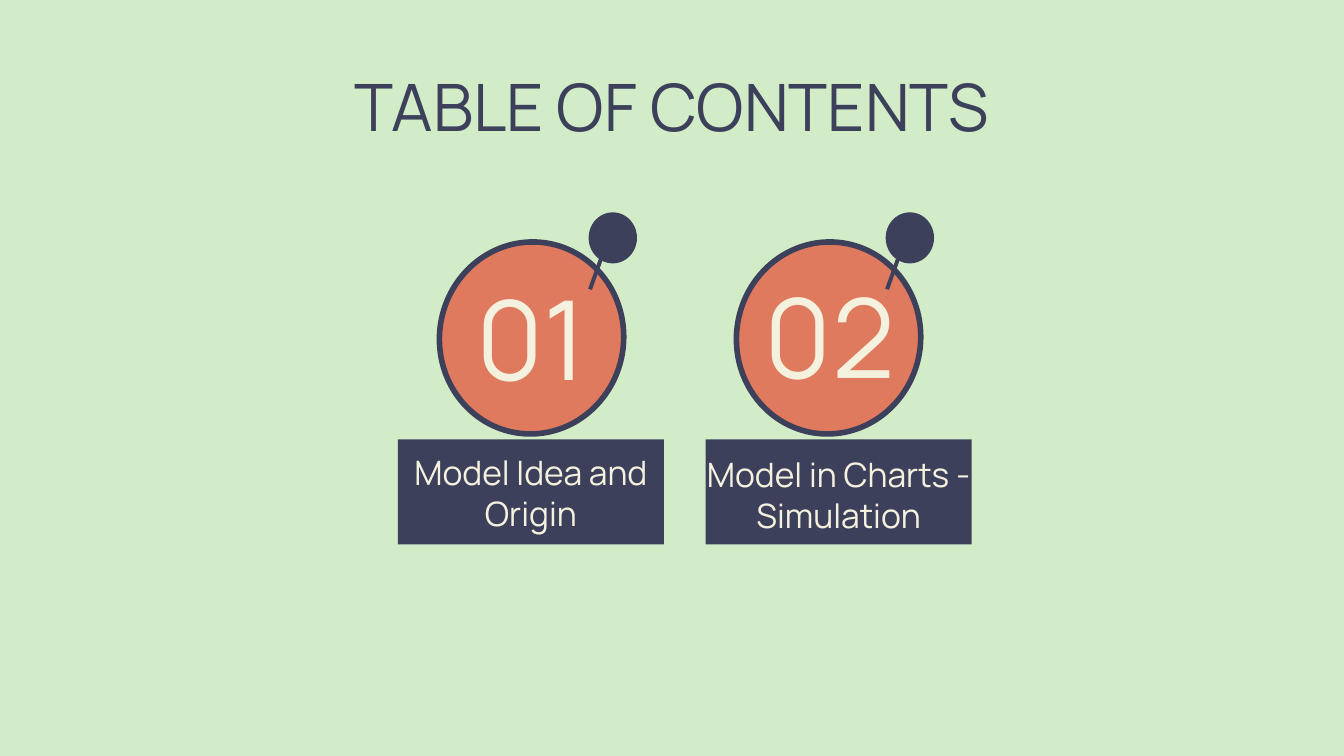
"""Build a table of contents slide with two numbered, pinned sections."""
from pptx import Presentation
from pptx.dml.color import RGBColor
from pptx.enum.shapes import MSO_SHAPE
from pptx.enum.text import MSO_ANCHOR, MSO_AUTO_SIZE, PP_ALIGN
from pptx.util import Inches, Pt

OVAL, RECTANGLE, ROUNDED = MSO_SHAPE.OVAL, MSO_SHAPE.RECTANGLE, MSO_SHAPE.ROUNDED_RECTANGLE
TOP, MIDDLE = MSO_ANCHOR.TOP, MSO_ANCHOR.MIDDLE
CENTER, FIXED_SIZE = PP_ALIGN.CENTER, MSO_AUTO_SIZE.NONE

GREEN = RGBColor(0xD2, 0xEC, 0xC8)
NAVY = RGBColor(0x3D, 0x40, 0x5B)
CORAL = RGBColor(0xE0, 0x7A, 0x5F)
CREAM = RGBColor(0xF4, 0xF1, 0xDE)
FONT = "Manrope"

TITLE = "TABLE OF CONTENTS"
SECTIONS = [
    {"number": "01", "caption": "Model Idea and Origin", "circle_left": 3.27,
     "number_place": (3.11, 1.72, 1.69, 1.56),
     "label_left": 2.96, "caption_top": 3.35, "caption_height": 0.63},
    {"number": "02", "caption": "Model in Charts - Simulation", "circle_left": 5.48,
     "number_place": (5.33, 1.71, 1.69, 1.56),
     "label_left": 5.25, "caption_top": 3.38, "caption_height": 0.6},
]


def write(box, text, size, color, anchor=MIDDLE):
    frame = box.text_frame
    frame.text = text
    frame.word_wrap = True
    frame.auto_size = FIXED_SIZE
    frame.vertical_anchor = anchor
    frame.margin_left = frame.margin_right = frame.margin_top = frame.margin_bottom = 0
    para = frame.paragraphs[0]
    para.alignment = CENTER
    para.line_spacing = 1.0
    font = para.runs[0].font
    font.name, font.size, font.color.rgb = FONT, Pt(size), color


def add_text(slide, place, text, size):
    box = slide.shapes.add_textbox(*map(Inches, place))
    write(box, text, size, CREAM)


def add_figure(shapes, kind, place, fill, rotation=0):
    figure = shapes.add_shape(kind, *map(Inches, place))
    figure.shadow.inherit = False
    figure.fill.solid()
    figure.fill.fore_color.rgb = fill
    figure.line.fill.background()
    figure.rotation = rotation
    return figure


def add_section(slide, section):
    left, label_left = section["circle_left"], section["label_left"]
    circle = add_figure(slide.shapes, OVAL, (left, 1.8, 1.37, 1.43), CORAL, 8.7)
    circle.line.color.rgb = NAVY
    circle.line.width = Pt(3)
    add_text(slide, section["number_place"], section["number"], 59)

    pin = slide.shapes.add_group_shape()
    add_figure(pin.shapes, RECTANGLE, (left + 1.2, 1.61, 0.03, 0.56), NAVY, 19.8)
    add_figure(pin.shapes, OVAL, (left + 1.11, 1.58, 0.36, 0.38), NAVY)

    label = add_figure(slide.shapes, ROUNDED, (label_left, 3.27, 1.98, 0.78), NAVY)
    label.adjustments[0] = 0
    caption_place = (label_left, section["caption_top"], 1.98, section["caption_height"])
    add_text(slide, caption_place, section["caption"], 18)


def main():
    deck = Presentation()
    deck.slide_width = Inches(10)
    deck.slide_height = deck.slide_width * 9 // 16
    slide = deck.slides.add_slide(deck.slide_layouts[5])
    slide.background.fill.solid()
    slide.background.fill.fore_color.rgb = GREEN

    title = slide.shapes.title
    title.left, title.top, title.width, title.height = map(Inches, (0.78, 0.49, 8.44, 0.63))
    write(title, TITLE, 35, NAVY, TOP)

    for section in SECTIONS:
        add_section(slide, section)
    deck.save("out.pptx")


if __name__ == "__main__":
    main()
